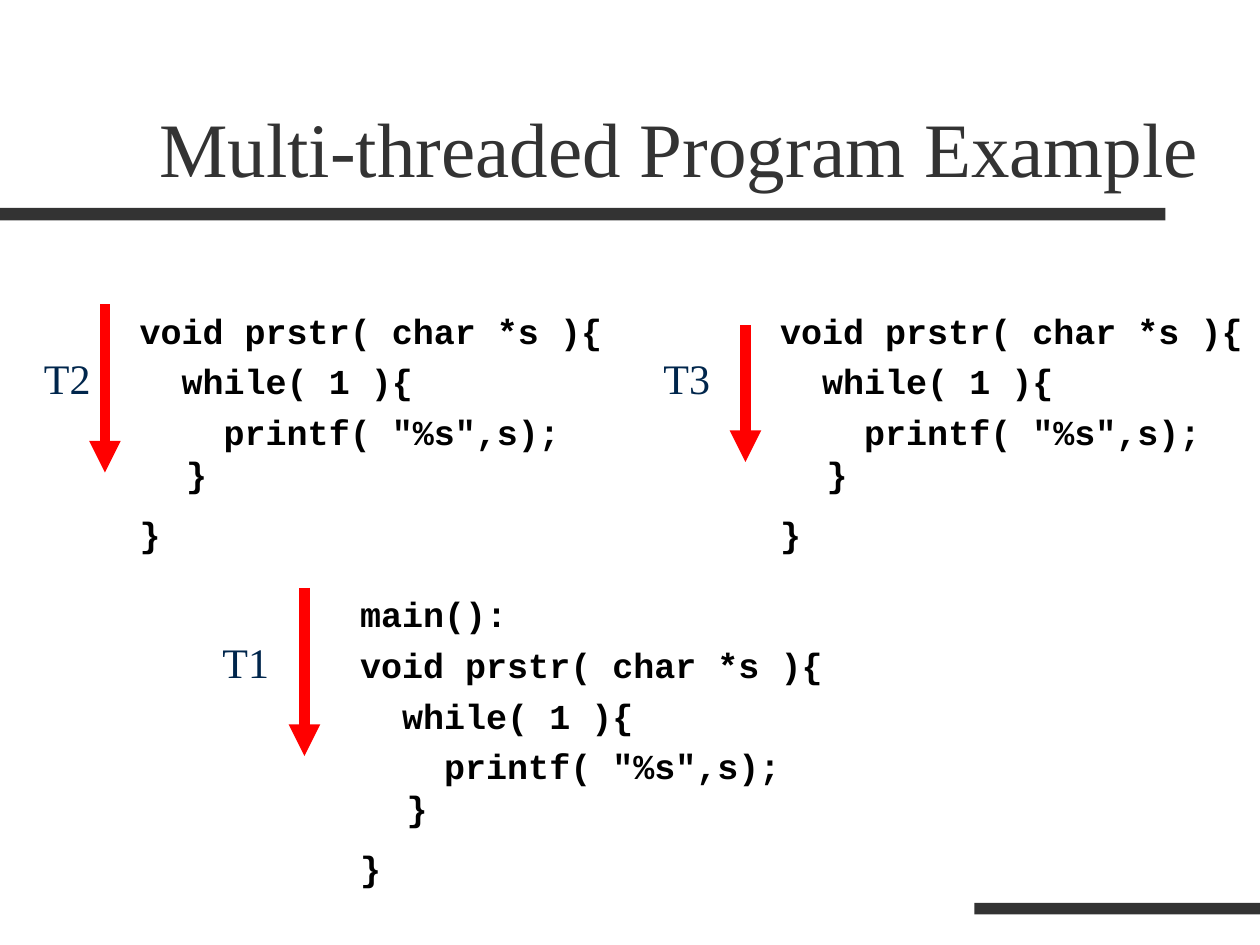
from lxml import etree
from pptx import Presentation
from pptx import util as u
from pptx.dml.color import RGBColor
from pptx.enum import shapes, text
from pptx.oxml.ns import qn

CHARCOAL = RGBColor(0x33, 0x33, 0x33)
BLACK = RGBColor(0, 0, 0)
NAVY = RGBColor(0x00, 0x26, 0x4C)
RED = RGBColor(0xFF, 0, 0)

deck = Presentation()
deck.slide_width, deck.slide_height = u.Inches(10), u.Inches(7.5)
page = deck.slides.add_slide(deck.slide_layouts[6])


def cells(*counts):
    """Lengths on a grid of 120 columns by 90 rows."""
    return [round(count * deck.slide_width / 120) for count in counts]


def add_text(area, lines, size, font, color, bold=False):
    """Add a text box; a tuple of strings is one paragraph with line breaks."""
    box = page.shapes.add_textbox(*cells(*area))
    frame = box.text_frame
    frame.word_wrap = True
    for number, line in enumerate(lines):
        para = frame.add_paragraph() if number else frame.paragraphs[0]
        for part_number, part in enumerate(line):
            if part_number:
                para.add_line_break()
            span = para.add_run()
            span.text = part
            span.font.size = u.Pt(size)
            span.font.name = font
            span.font.bold = bold
            span.font.color.rgb = color
    return frame


# Rules under the title and at the foot
for area in [(0, 19.8, 111, 1.2), (92.8, 86, 27.2, 1.1)]:
    bar = page.shapes.add_shape(shapes.MSO_SHAPE.RECTANGLE, *cells(*area))
    bar.shadow.inherit = False
    bar.fill.solid()
    bar.fill.fore_color.rgb = CHARCOAL
    bar.line.fill.background()

# Title
title = add_text((14, 4, 102, 15), [("Multi-threaded Program Example",)],
                 44, "Times New Roman", CHARCOAL)
title.vertical_anchor = text.MSO_ANCHOR.BOTTOM

# Code of each thread
prstr = [
    ("void prstr( char *s ){",),
    ("  while( 1 ){",),
    ('    printf( "%s",s);', "}"),
    ("}",),
]
for area, lines in [
    ((12, 28, 47, 30.5), prstr),
    ((73, 28, 47, 27), prstr),
    ((33, 55, 47, 27), [("main():",)] + prstr),
]:
    code = add_text(area, lines, 20, "Courier New", BLACK, bold=True)
    code.margin_top = u.Inches(0.12)
    for para in code.paragraphs:
        indent = para._p.get_or_add_pPr()
        indent.set("marL", str(u.Inches(0.38)))
        indent.set("indent", str(u.Inches(-0.37)))
    for para in code.paragraphs[1:-1]:
        para.space_before = u.Pt(5)
    code.paragraphs[-1].space_before = u.Pt(10)

# Arrows showing the flow of each thread: column, first row, last row
for column, first, last in [(10, 29, 45), (71, 31, 44), (29, 56, 72)]:
    arrow = page.shapes.add_connector(shapes.MSO_CONNECTOR.STRAIGHT,
                                      *cells(column, first, column, last))
    arrow.line.color.rgb = RED
    arrow.line.width = u.Pt(6)
    etree.SubElement(arrow.line._get_or_add_ln(), qn("a:tailEnd"), type="triangle")
    etree.SubElement(arrow._element.spPr, qn("a:effectLst"))

# Thread names
for name, column, row in [("T1", 20, 60), ("T2", 3, 33), ("T3", 62, 33)]:
    label = add_text((column, row, 8, 6), [(name,)], 24, "Times New Roman", NAVY)
    label.auto_size = text.MSO_AUTO_SIZE.SHAPE_TO_FIT_TEXT

deck.save("out.pptx")
